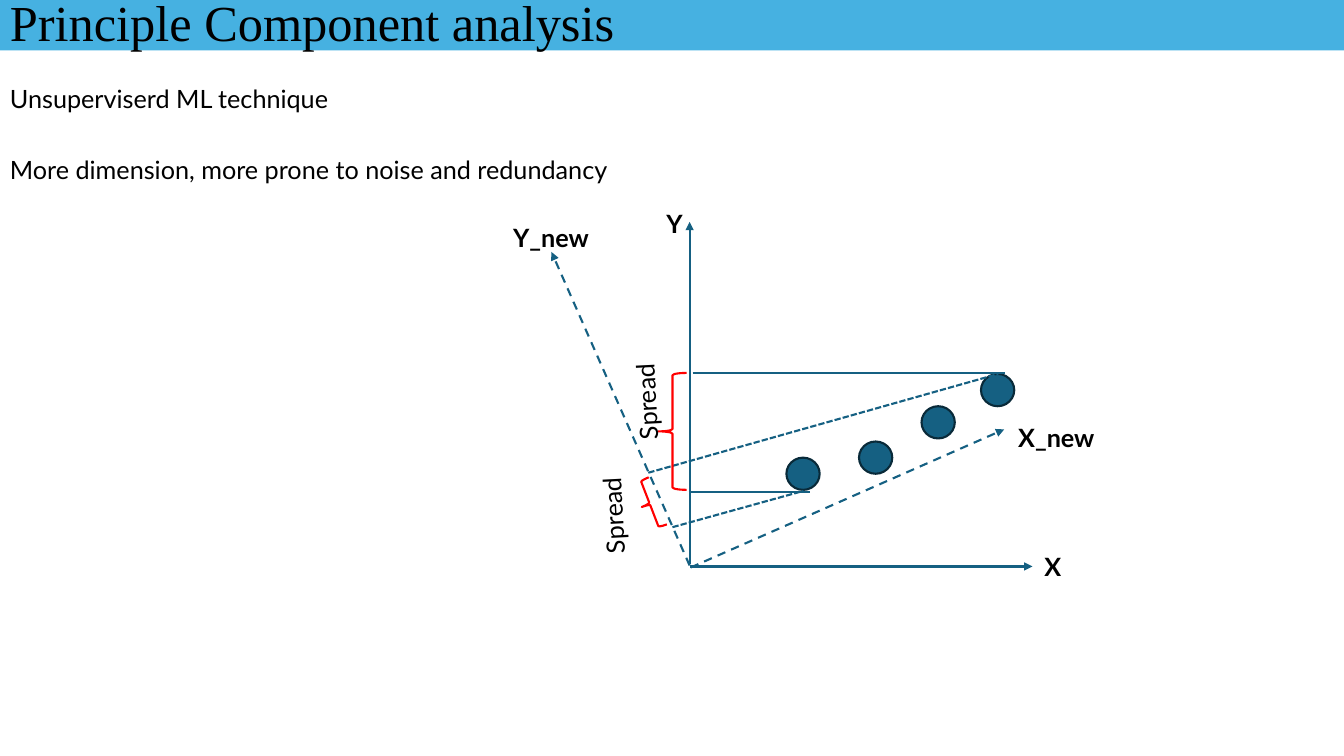
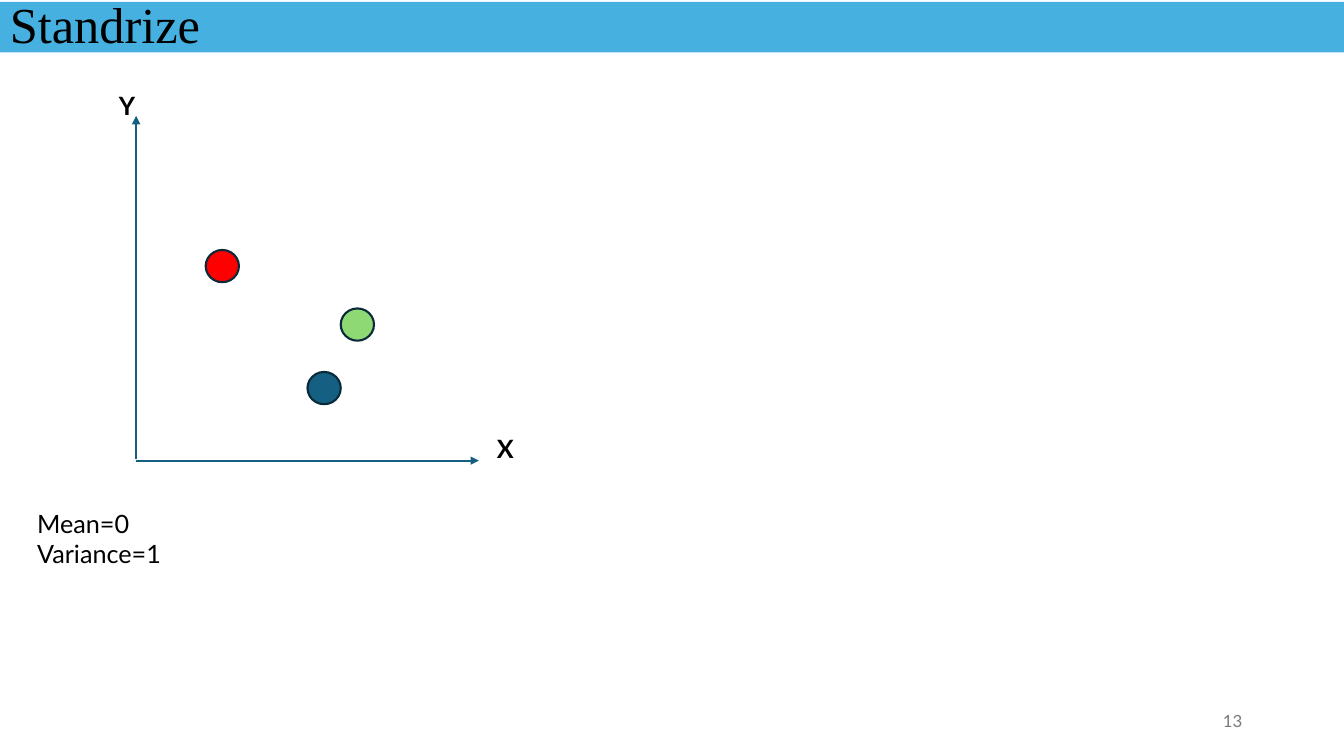
from lxml.etree import SubElement
from pptx import Presentation
from pptx.dml.color import RGBColor
from pptx.enum.dml import MSO_LINE_DASH_STYLE as DASH
from pptx.enum.shapes import MSO_CONNECTOR, MSO_SHAPE as SHAPE
from pptx.enum.text import MSO_ANCHOR as ANCHOR, MSO_AUTO_SIZE as AUTO_SIZE, PP_ALIGN as ALIGN
from pptx.oxml.ns import qn
from pptx.util import Inches, Pt

BLACK = RGBColor(0x00, 0x00, 0x00)
GREY = RGBColor(0x79, 0x79, 0x79)
SKY = RGBColor(0x46, 0xB1, 0xE1)
TEAL = RGBColor(0x15, 0x60, 0x82)
DARK_TEAL = RGBColor(0x09, 0x2A, 0x39)
RED = RGBColor(0xFF, 0x00, 0x00)
GREEN = RGBColor(0x8E, 0xD9, 0x73)

WIDTH = 13.33
AXIS_LENGTH = 3.4
LINE_WIDTH = Pt(1.5)


def write_text(box, text, size=18, font="Lato", color=BLACK, bold=False, align=ALIGN.LEFT,
               anchor=ANCHOR.TOP, spacing=1.0, wrap=True, grow=True):
    frame = box.text_frame
    frame.word_wrap = wrap
    frame.auto_size = AUTO_SIZE.SHAPE_TO_FIT_TEXT if grow else AUTO_SIZE.NONE
    frame.vertical_anchor = anchor
    for index, line in enumerate(text.split("\n")):
        para = frame.add_paragraph() if index else frame.paragraphs[0]
        para.alignment = align
        para.line_spacing = spacing
        span = para.add_run()
        span.text = line
        span.font.size = Pt(size)
        span.font.name = font
        span.font.bold = bold
        span.font.color.rgb = color


def draw_line(page, start, end, dash=None, arrow=False):
    line = page.shapes.add_connector(MSO_CONNECTOR.STRAIGHT, *map(Inches, start + end))
    line.line.color.rgb = TEAL
    line.line.width = LINE_WIDTH
    if dash:
        line.line.dash_style = dash
    if arrow:
        SubElement(line.line._get_or_add_ln(), qn("a:tailEnd"), type="triangle")
    SubElement(line._element.spPr, qn("a:effectLst"))


deck = Presentation()
deck.slide_width = Inches(WIDTH)
deck.slide_height = Inches(7.5)

pages = []
for title, band_top, (left, bottom) in [
    ("Principle Component analysis", 0, (6.84, 5.62)),
    ("Standrize", 0.02, (1.35, 4.57)),
]:
    page = deck.slides.add_slide(deck.slide_layouts[6])
    pages.append(page)
    band = page.shapes.add_shape(SHAPE.RECTANGLE, 0, Inches(band_top), Inches(WIDTH), Inches(0.5))
    band.shadow.inherit = False
    band.fill.solid()
    band.fill.fore_color.rgb = SKY
    band.line.fill.background()
    write_text(band, title, size=36, font="Times New Roman", anchor=ANCHOR.MIDDLE,
               spacing=0.9, grow=False)
    draw_line(page, (left, bottom), (left + AXIS_LENGTH, bottom), arrow=True)
    draw_line(page, (left, bottom - 0.02), (left, bottom - 0.02 - AXIS_LENGTH), arrow=True)

pca_page, standardize_page = pages

for page, left, top, color in [
    (pca_page, 9.73, 3.71, TEAL),
    (pca_page, 9.14, 4.03, TEAL),
    (pca_page, 8.52, 4.38, TEAL),
    (pca_page, 7.8, 4.54, TEAL),
    (standardize_page, 3.38, 3.06, GREEN),
    (standardize_page, 2.04, 2.48, RED),
    (standardize_page, 3.05, 3.69, TEAL),
]:
    point = page.shapes.add_shape(SHAPE.FLOWCHART_CONNECTOR, Inches(left), Inches(top),
                                  Inches(0.33), Inches(0.32))
    point.shadow.inherit = False
    point.fill.solid()
    point.fill.fore_color.rgb = color
    point.line.color.rgb = DARK_TEAL
    point.line.width = LINE_WIDTH

for start, end, dash, arrow in [
    ((6.85, 5.63), (9.96, 4.26), DASH.DASH, True),
    ((6.84, 5.61), (5.47, 2.5), DASH.DASH, True),
    ((6.87, 3.7), (9.97, 3.7), None, False),
    ((6.83, 4.88), (8.03, 4.88), None, False),
    ((6.67, 5.23), (7.97, 4.87), DASH.SQUARE_DOT, False),
    ((6.43, 4.69), (9.9, 3.71), DASH.SQUARE_DOT, False),
]:
    draw_line(pca_page, start, end, dash=dash, arrow=arrow)

for left, top, width, height, rotation in [
    (6.53, 3.7, 0.28, 1.16, 0),
    (6.36, 4.75, 0.17, 0.5, 338.9),
]:
    brace = pca_page.shapes.add_shape(SHAPE.LEFT_BRACE, *map(Inches, (left, top, width, height)))
    brace.shadow.inherit = False
    brace.rotation = rotation
    brace.fill.background()
    brace.line.color.rgb = RED
    brace.line.width = LINE_WIDTH

for page, text, left, top, width in [
    (pca_page, "X", 10.26, 5.42, 0.62),
    (pca_page, "Y", 6.51, 2.02, 0.62),
    (pca_page, "X_new", 10, 4.14, 1.26),
    (pca_page, "Y_new", 4.99, 2.16, 1.26),
    (standardize_page, "X", 4.83, 4.25, 0.62),
    (standardize_page, "Y", 1.08, 0.85, 0.62),
]:
    box = page.shapes.add_textbox(Inches(left), Inches(top), Inches(width), Inches(0.4))
    write_text(box, text, bold=True)

for left, top in [(5.92, 3.77), (5.59, 4.9)]:
    box = pca_page.shapes.add_textbox(Inches(left), Inches(top), Inches(0.98), Inches(0.4))
    box.rotation = 267.1
    write_text(box, "Spread", wrap=False)

for page, text, left, top, width, height in [
    (pca_page, "Unsuperviserd ML technique", 0, 0.78, 5.59, 0.4),
    (pca_page, "More dimension, more prone to noise and redundancy", 0, 1.48, 8.41, 0.4),
    (standardize_page, "Mean=0\nVariance=1", 0.27, 4.99, 3.16, 0.71),
]:
    box = page.shapes.add_textbox(*map(Inches, (left, top, width, height)))
    write_text(box, text)

number = standardize_page.shapes.add_textbox(Inches(9.42), Inches(6.95), Inches(3), Inches(0.4))
write_text(number, "13", size=12, color=GREY, align=ALIGN.RIGHT, anchor=ANCHOR.MIDDLE, grow=False)

deck.save("out.pptx")
